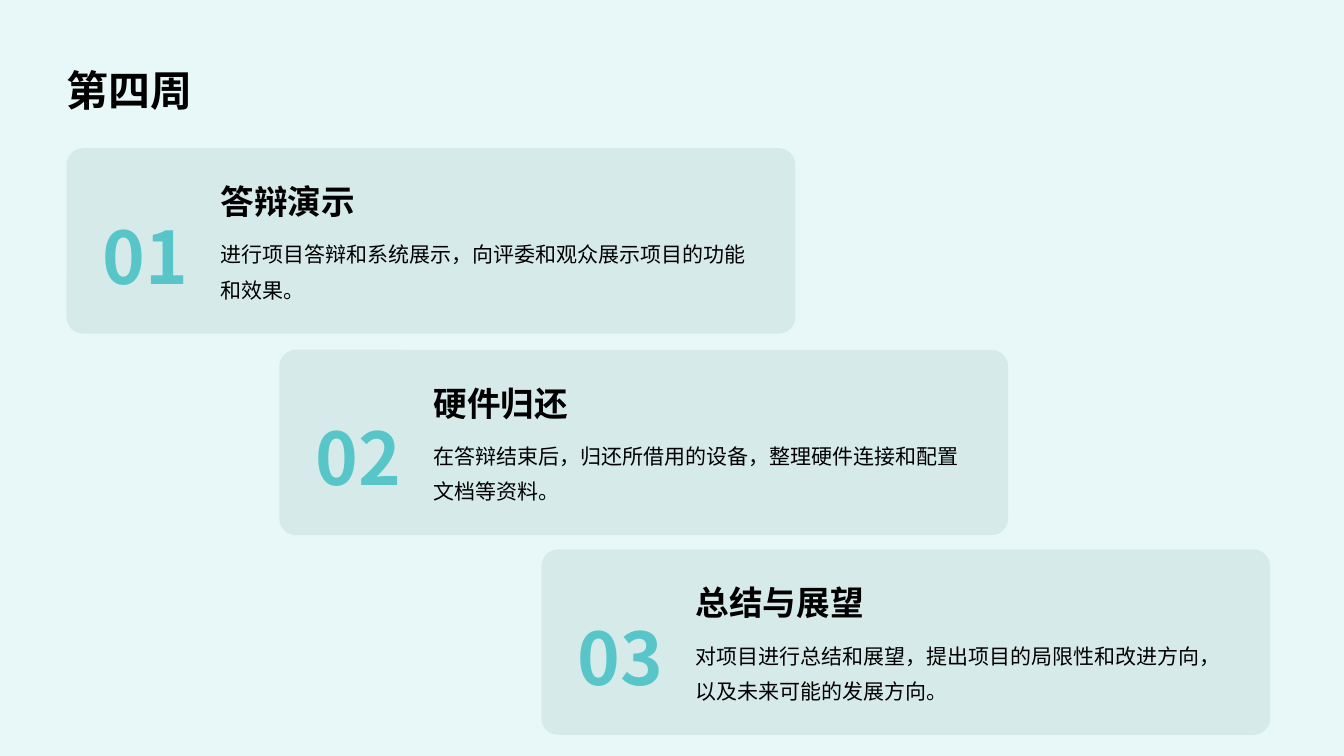
"""Build the week-four slide with three stepped, numbered cards."""
from dataclasses import dataclass

from lxml.etree import SubElement
from pptx import Presentation
from pptx.dml.color import RGBColor
from pptx.enum.shapes import MSO_SHAPE as Shape
from pptx.enum.text import MSO_ANCHOR as Anchor, MSO_AUTO_SIZE as AutoSize, PP_ALIGN as Align
from pptx.oxml.ns import qn
from pptx.util import Inches, Pt


@dataclass(frozen=True)
class Theme:
    font: str = "Noto Sans CJK SC"
    background: RGBColor = RGBColor.from_string("E8F8F8")
    card: RGBColor = RGBColor.from_string("D3E7E7")
    card_opacity: int = 80
    accent: RGBColor = RGBColor.from_string("58C6C9")
    ink: RGBColor = RGBColor.from_string("000000")
    title_size: float = 30
    number_size: float = 51.8
    heading_size: float = 24
    body_size: float = 15


theme = Theme()
presentation = Presentation()
presentation.slide_width, presentation.slide_height = Inches(13.33), Inches(7.5)
column, row = presentation.slide_width / 100, presentation.slide_height / 100


def grid(left, top, width, height):
    """Turn hundredths of the slide into lengths."""
    return [round(length) for length in (left * column, top * row, width * column, height * row)]


def write(shape, text, *, size, color=theme.ink, bold=False, align=Align.LEFT,
          anchor=Anchor.TOP, spacing=1.2, margins=(0.9, 0.8, 0.9, 0.8)):
    """Fill a shape with one formatted paragraph."""
    frame = shape.text_frame
    frame.word_wrap, frame.auto_size = True, AutoSize.NONE
    frame.vertical_anchor = anchor
    frame.margin_left, frame.margin_top, frame.margin_right, frame.margin_bottom = grid(*margins)
    paragraph = frame.paragraphs[0]
    paragraph.alignment, paragraph.line_spacing = align, spacing
    paragraph.space_before = Pt(0)
    run = paragraph.add_run()
    run.text = text
    run.font.name, run.font.size, run.font.bold = theme.font, Pt(size), bold
    run.font.color.rgb = color
    SubElement(run.font._element, qn("a:ea"), typeface=theme.font)


slide = presentation.slides.add_slide(presentation.slide_layouts[5])
slide.background.fill.solid()
slide.background.fill.fore_color.rgb = theme.background

title = slide.shapes.title
title.left, title.top, title.width, title.height = grid(3.9, 3.87, 92.2, 13.33)
write(title, "第四周", size=theme.title_size, bold=True, anchor=Anchor.MIDDLE,
      spacing=1.4, margins=(1.05, 1.87, 0.45, 1.87))

cards = [
    (4.95, 19.6, "答辩演示", "进行项目答辩和系统展示，向评委和观众展示项目的功能和效果。"),
    (20.78, 46.27, "硬件归还", "在答辩结束后，归还所借用的设备，整理硬件连接和配置文档等资料。"),
    (40.28, 72.67, "总结与展望", "对项目进行总结和展望，提出项目的局限性和改进方向，以及未来可能的发展方向。"),
]
for number, (left, top, heading, body) in enumerate(cards, start=1):
    card = slide.shapes.add_shape(Shape.ROUNDED_RECTANGLE, *grid(left, top, 54.23, 24.53))
    card.adjustments[0] = 0.09
    card.shadow.inherit = False
    card.line.fill.background()
    card.fill.solid()
    card.fill.fore_color.rgb = theme.card
    card_color = card.fill._xPr.find(qn("a:solidFill"))[0]
    SubElement(card_color, qn("a:alpha"), val=str(theme.card_opacity * 1000))

    number_box = slide.shapes.add_textbox(*grid(left + 1.2, top + 4.93, 9.38, 16.13))
    write(number_box, f"{number:02}", size=theme.number_size, color=theme.accent,
          bold=True, align=Align.CENTER, anchor=Anchor.MIDDLE)
    heading_box = slide.shapes.add_textbox(*grid(left + 10.58, top + 2.07, 28.65, 8.4))
    write(heading_box, heading, size=theme.heading_size, bold=True, anchor=Anchor.BOTTOM)
    body_box = slide.shapes.add_textbox(*grid(left + 10.58, top + 10.27, 40.95, 11.87))
    write(body_box, body, size=theme.body_size, spacing=1.4)

presentation.save("out.pptx")
